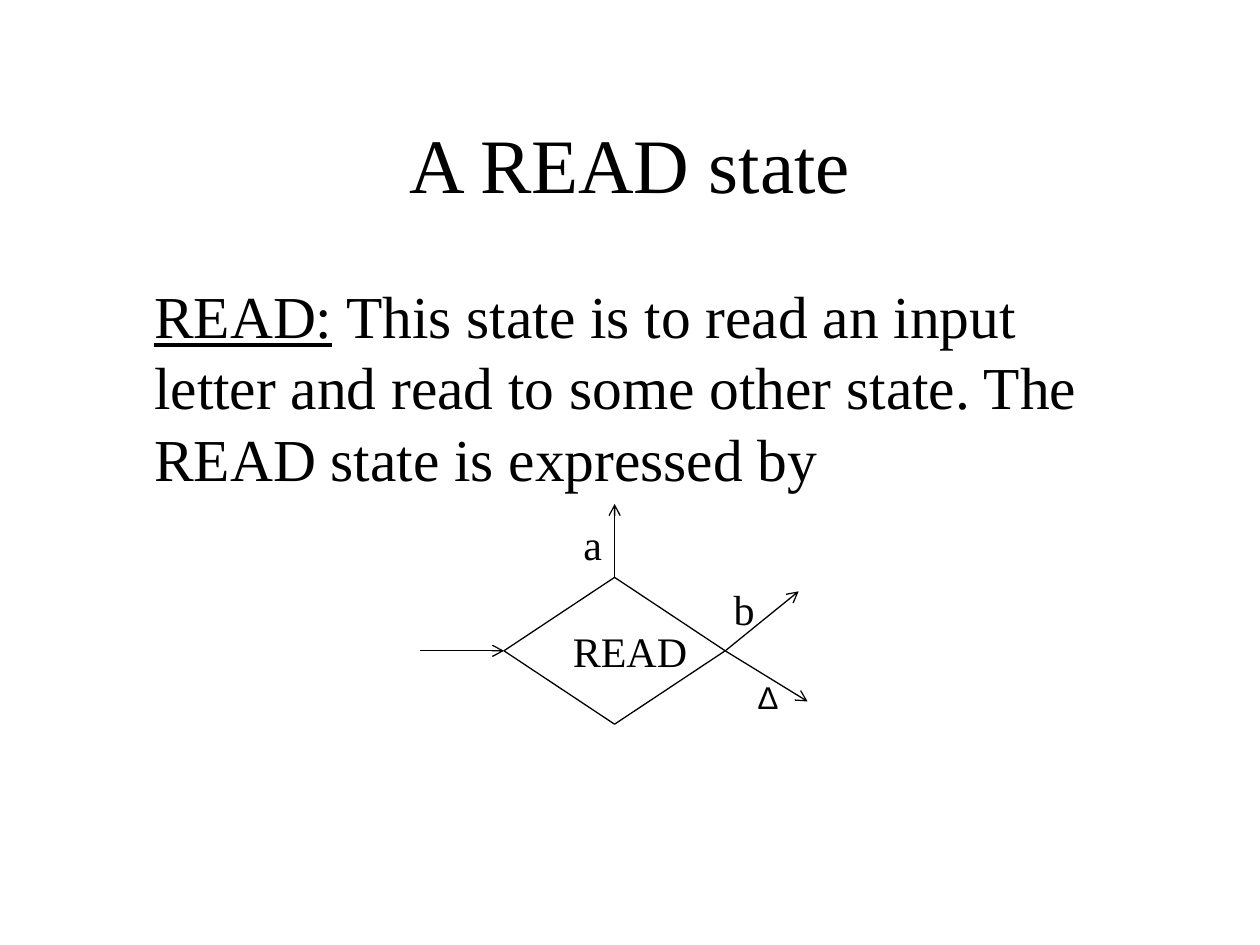
from dataclasses import dataclass

from lxml.etree import SubElement
from pptx import Presentation
from pptx.dml.color import RGBColor
from pptx.enum.shapes import MSO_CONNECTOR, MSO_SHAPE
from pptx.enum.text import MSO_ANCHOR, PP_ALIGN
from pptx.oxml.ns import qn
from pptx.util import Cm, Pt


@dataclass(frozen=True)
class Theme:
    ink: RGBColor = RGBColor(0, 0, 0)
    serif: str = "Times New Roman"
    sans: str = "Arial"
    title_size: int = 44
    body_size: int = 34
    label_size: int = 24
    symbol_size: int = 18
    line_width: float = 0.75


THEME = Theme()
TOP, LEFT, RIGHT = 0, 1, 3


def write(frame, *runs, size, font=THEME.serif, align=PP_ALIGN.CENTER,
          anchor=MSO_ANCHOR.TOP, underline_first=False):
    frame.word_wrap = True
    frame.vertical_anchor = anchor
    paragraph = frame.paragraphs[0]
    paragraph.alignment = align
    for index, text in enumerate(runs):
        run = paragraph.add_run()
        run.text = text
        run.font.name = font
        run.font.size = Pt(size)
        run.font.color.rgb = THEME.ink
        run.font.underline = underline_first and index == 0


def add_title(slide, text):
    title = slide.shapes.title
    title.left, title.top = Cm(1.9), Cm(1.68)
    title.width, title.height = Cm(21.6), Cm(3.18)
    write(title.text_frame, text, size=THEME.title_size, anchor=MSO_ANCHOR.MIDDLE)


def add_body(slide, heading, text):
    box = slide.shapes.add_textbox(Cm(1.9), Cm(5.5), Cm(21.2), Cm(4.7))
    box.text_frame.margin_left = Cm(1.21)
    write(box.text_frame, heading, text, size=THEME.body_size,
          align=PP_ALIGN.LEFT, underline_first=True)


def add_label(slide, text, left, top, width=1.9, **text_format):
    box = slide.shapes.add_textbox(Cm(left), Cm(top), Cm(width), Cm(1.27))
    write(box.text_frame, text, **{"size": THEME.label_size, **text_format})


def add_decision(slide, left, top, width, height):
    shape = slide.shapes.add_shape(MSO_SHAPE.FLOWCHART_DECISION,
                                   Cm(left), Cm(top), Cm(width), Cm(height))
    shape.shadow.inherit = False
    shape.fill.background()
    shape.line.color.rgb = THEME.ink
    shape.line.width = Pt(THEME.line_width)
    return shape


def add_arrow(slide, shape, site, far_end, incoming=False):
    """Join a corner of the shape to a free point, pointing outwards unless incoming."""
    x, y = (Cm(value) for value in far_end)
    arrow = slide.shapes.add_connector(MSO_CONNECTOR.STRAIGHT, x, y, x, y)
    connect = arrow.end_connect if incoming else arrow.begin_connect
    connect(shape, site)
    arrow.line.color.rgb = THEME.ink
    arrow.line.width = Pt(THEME.line_width)
    SubElement(arrow.line._get_or_add_ln(), qn("a:tailEnd"), type="arrow")
    SubElement(arrow._element.spPr, qn("a:effectLst"))


def main():
    presentation = Presentation()
    presentation.slide_width, presentation.slide_height = Cm(25.4), Cm(19.05)
    slide = presentation.slides.add_slide(presentation.slide_layouts[5])

    add_title(slide, "A READ state")
    add_body(slide, "READ:", " This state is to read an input letter and read to "
             "some other state. The READ state is expressed by")

    decision = add_decision(slide, left=10.16, top=11.64, width=4.46, height=2.96)
    add_arrow(slide, decision, LEFT, (8.47, 13.12), incoming=True)
    add_arrow(slide, decision, TOP, (12.39, 10.16))
    add_arrow(slide, decision, RIGHT, (16.1, 11.92))
    add_arrow(slide, decision, RIGHT, (16.28, 14.14))

    add_label(slide, "READ", 11.2, 12.48, width=3)
    add_label(slide, "a", 11, 10.32)
    add_label(slide, "b", 14.05, 11.64)
    add_label(slide, "∆", 15.04, 13.54, font=THEME.sans,
              size=THEME.symbol_size, align=PP_ALIGN.LEFT)

    presentation.save("out.pptx")


if __name__ == "__main__":
    main()
